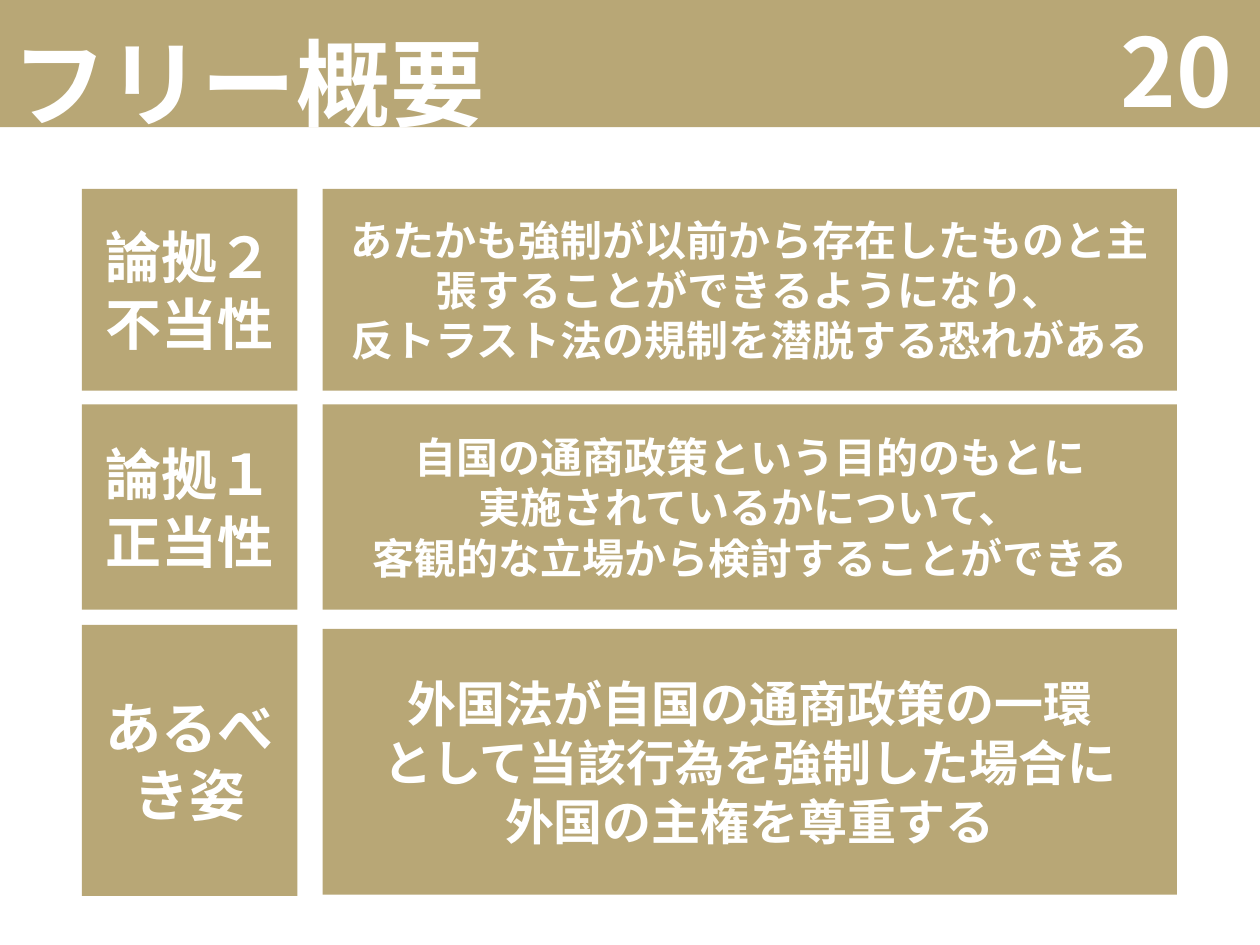
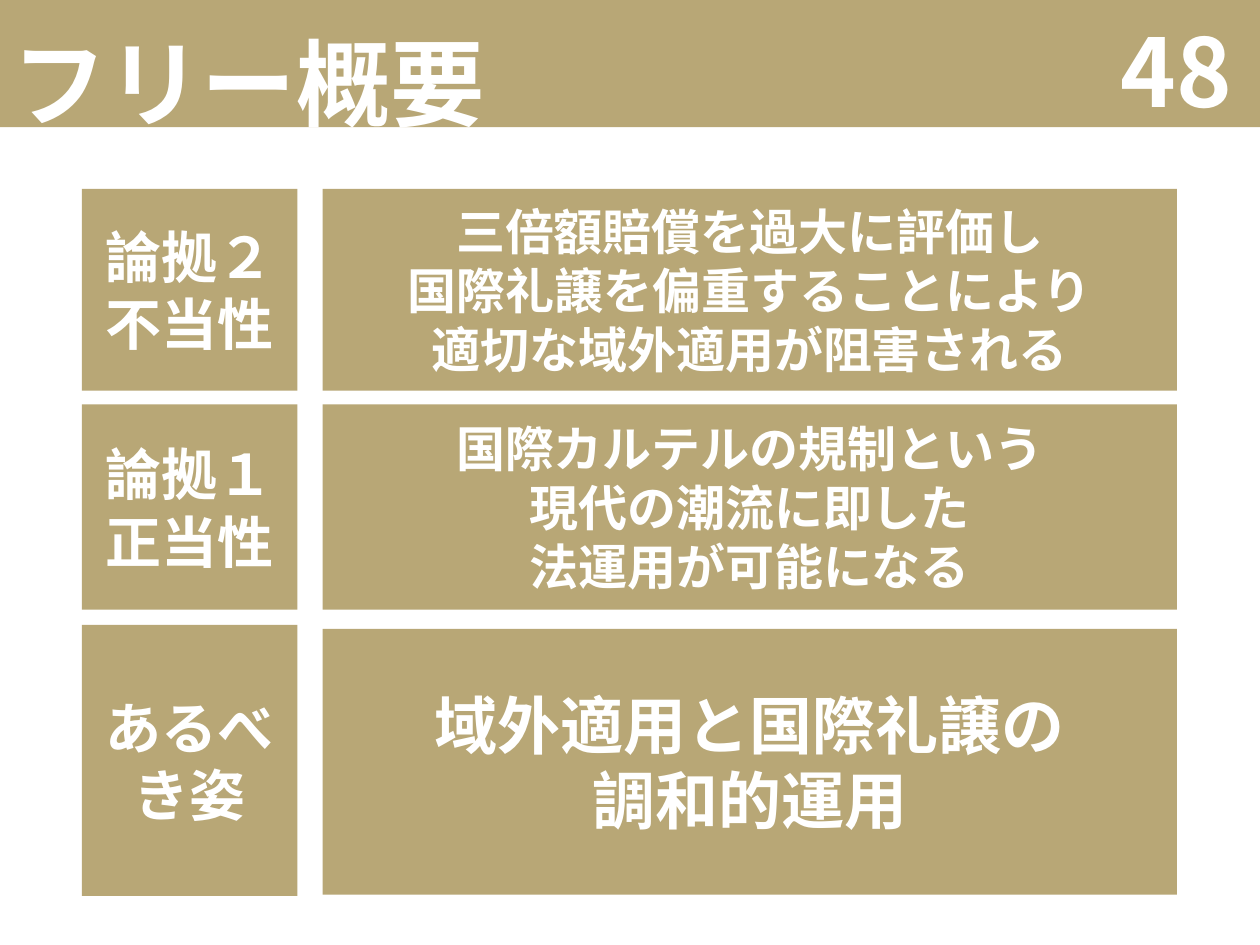
from dataclasses import dataclass

from lxml import etree
from pptx import Presentation
from pptx.dml.color import RGBColor
from pptx.enum.shapes import MSO_SHAPE
from pptx.enum.text import MSO_ANCHOR, MSO_AUTO_SIZE, PP_ALIGN
from pptx.oxml.ns import qn
from pptx.shapes.autoshape import Shape
from pptx.slide import Slide, SlideLayout
from pptx.util import Inches, Pt

GOLD = RGBColor(0xB8, 0xA7, 0x76)
WHITE = RGBColor(0xFF, 0xFF, 0xFF)
TITLE_FONT = "Karla"
BODY_FONT = "Noto Sans CJK JP"
RECTANGLE = MSO_SHAPE.RECTANGLE
MIDDLE = MSO_ANCHOR.MIDDLE
NO_AUTOFIT = MSO_AUTO_SIZE.NONE
LEFT, CENTER, RIGHT = PP_ALIGN.LEFT, PP_ALIGN.CENTER, PP_ALIGN.RIGHT

TITLE_ONLY_LAYOUT = 5
TITLE = "フリー概要"
TITLE_SIZE = 54
LABEL_SIZE = 32
LABEL_LEFT, LABEL_WIDTH = 0.65, 1.71
CLAIM_LEFT, CLAIM_WIDTH = 2.56, 6.78


@dataclass(frozen=True)
class Row:
    """Label text, with top and height of the label and of the claim beside it."""
    label: tuple[str, ...]
    label_top: float
    label_height: float
    claim_top: float
    claim_height: float


@dataclass(frozen=True)
class Claim:
    size: int
    lines: tuple[str, ...]


@dataclass(frozen=True)
class Overview:
    page: str
    claims: tuple[Claim, ...]


ROWS = (
    Row(("論拠２", "不当性"), 1.5, 1.6, 1.5, 1.6),
    Row(("論拠１", "正当性"), 3.21, 1.63, 3.21, 1.63),
    Row(("あるべき姿",), 4.96, 2.15, 4.99, 2.11),
)

OVERVIEWS = (
    Overview("20", (
        Claim(24, ("あたかも強制が以前から存在したものと主張することができるようになり、",
                   "反トラスト法の規制を潜脱する恐れがある")),
        Claim(24, ("自国の通商政策という目的のもとに",
                   "実施されているかについて、",
                   "客観的な立場から検討することができる")),
        Claim(28, ("外国法が自国の通商政策の一環",
                   "として当該行為を強制した場合に",
                   "外国の主権を尊重する")),
    )),
    Overview("48", (
        Claim(28, ("三倍額賠償を過大に評価し",
                   "国際礼譲を偏重することにより",
                   "適切な域外適用が阻害される")),
        Claim(28, ("国際カルテルの規制という",
                   "現代の潮流に即した",
                   "法運用が可能になる")),
        Claim(36, ("域外適用と国際礼譲の", "調和的運用")),
    )),
)


def write_text(shape: Shape, lines: tuple[str, ...], *, size: int,
               font: str = BODY_FONT, align: PP_ALIGN = CENTER) -> None:
    frame = shape.text_frame
    frame.word_wrap = True
    frame.auto_size = NO_AUTOFIT
    frame.vertical_anchor = MIDDLE
    for index, line in enumerate(lines):
        paragraph = frame.paragraphs[0] if index == 0 else frame.add_paragraph()
        paragraph.alignment = align
        run = paragraph.add_run()
        run.text = line
        run.font.size = Pt(size)
        run.font.bold = True
        run.font.color.rgb = WHITE
        run.font.name = font
        east_asian = etree.SubElement(run.font._element, qn("a:ea"))
        east_asian.set("typeface", BODY_FONT)


def add_panel(slide: Slide, left: float, top: float, width: float,
              height: float) -> Shape:
    panel = slide.shapes.add_shape(RECTANGLE, Inches(left), Inches(top),
                                   Inches(width), Inches(height))
    panel.shadow.inherit = False
    panel.fill.solid()
    panel.fill.fore_color.rgb = GOLD
    panel.line.fill.background()
    return panel


def move_to_layout(shape: Shape, layout: SlideLayout) -> None:
    """Put the shape behind everything else on the layout."""
    shape.element.nvSpPr.cNvPr.set("id", "100")
    layout.shapes.element.insert(2, shape.element)


def add_header(slide: Slide, page: str) -> None:
    title = slide.shapes.title
    title.left, title.top = Inches(0), Inches(0.02)
    title.width, title.height = Inches(11.06), Inches(1.25)
    write_text(title, (TITLE,), size=TITLE_SIZE, font=TITLE_FONT, align=LEFT)
    number = slide.shapes.add_textbox(Inches(7.55), Inches(0.35),
                                      Inches(2.33), Inches(0.4))
    write_text(number, (page,), size=TITLE_SIZE, align=RIGHT)


def add_row(slide: Slide, row: Row, claim: Claim) -> None:
    label_panel = add_panel(slide, LABEL_LEFT, row.label_top,
                            LABEL_WIDTH, row.label_height)
    write_text(label_panel, row.label, size=LABEL_SIZE)
    claim_panel = add_panel(slide, CLAIM_LEFT, row.claim_top,
                            CLAIM_WIDTH, row.claim_height)
    write_text(claim_panel, claim.lines, size=claim.size)


def main() -> None:
    presentation = Presentation()
    presentation.slide_width = Inches(10)
    presentation.slide_height = Inches(7.5)
    layout = presentation.slide_layouts[TITLE_ONLY_LAYOUT]
    for index, overview in enumerate(OVERVIEWS):
        slide = presentation.slides.add_slide(layout)
        if index == 0:
            move_to_layout(add_panel(slide, 0, 0, 10, 1.01), layout)
        add_header(slide, overview.page)
        for row, claim in zip(ROWS, overview.claims):
            add_row(slide, row, claim)
    presentation.save("out.pptx")


if __name__ == "__main__":
    main()
